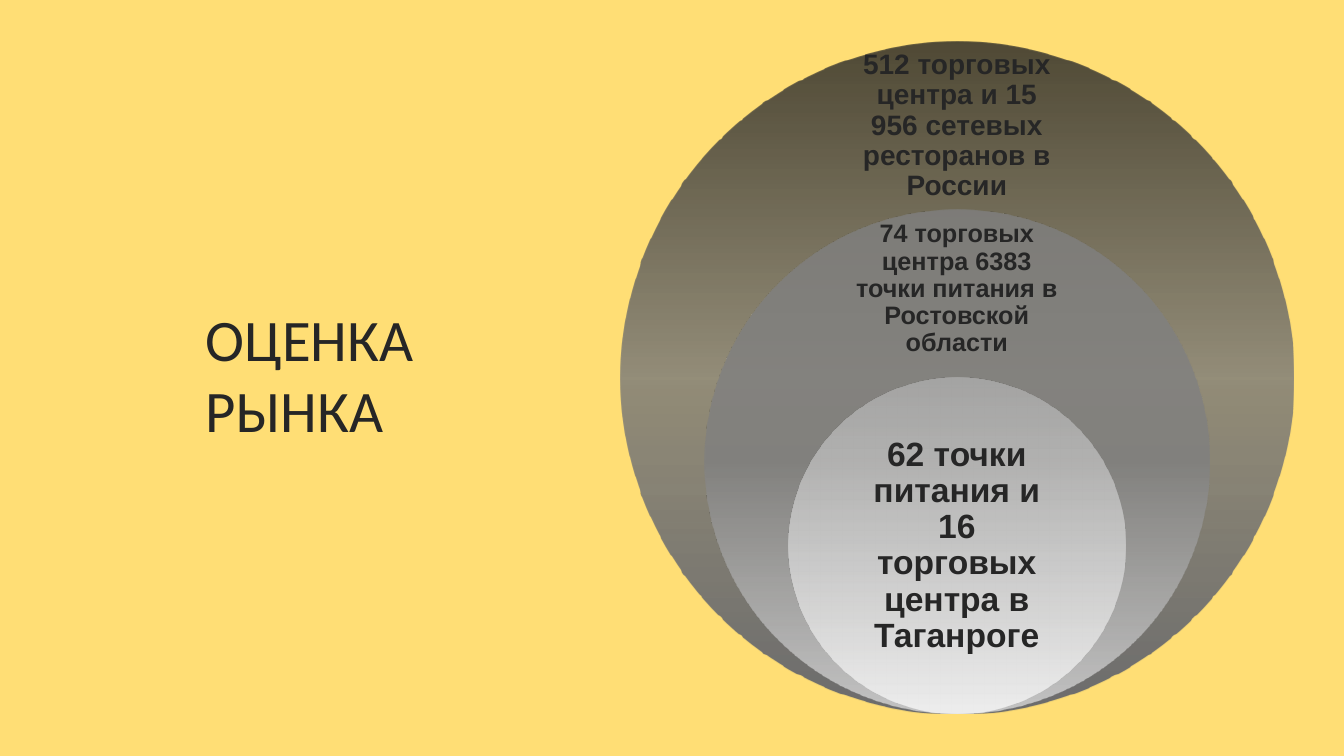
from lxml import etree
from pptx import Presentation
from pptx.dml.color import RGBColor
from pptx.enum.shapes import MSO_SHAPE
from pptx.enum.text import MSO_ANCHOR, PP_ALIGN
from pptx.oxml.ns import qn
from pptx.util import Inches, Pt

OVAL = MSO_SHAPE.OVAL
MIDDLE = MSO_ANCHOR.MIDDLE
LEFT, CENTER = PP_ALIGN.LEFT, PP_ALIGN.CENTER

COLORS = {
    "back": "FFDE75", "ink": "262626",
    "iron": "7A7A7A", "lead": "777777", "slate": "6C6C6C",
    "gray": "808080", "ash": "B2B2B2", "pale": "D9D9D9", "white": "FFFFFF",
}
TITLE = "ОЦЕНКА РЫНКА"
RINGS = [
    {"text": "512 торговых центра и 15 956 сетевых ресторанов в России",
     "size": 20, "inset": 0.16, "label": (0.75, 2.33, 1),
     "stops": [(0, "ink", 80), (50, "iron", 80), (52, "lead", 80), (100, "slate", 100)]},
    {"text": "74 торговых центра 6383 точки питания в Ростовской области",
     "size": 18, "inset": 0.14, "label": (2.4, 2.33, 0.94),
     "stops": [(0, "gray", 80), (50, "gray", 80), (100, "pale", 80)]},
    {"text": "62 точки питания и 16 торговых центра в Таганроге",
     "size": 24, "inset": 0.19, "label": (4.58, 2.36, 1.67),
     "stops": [(0, "ash", 70), (50, "pale", 70), (100, "white", 70)]},
]
MID, BASE, OUTER = 9.49, 7.08, 6.67


def color(name):
    return RGBColor.from_string(COLORS[name])


def add_text(slide, box, text, font, size, bold, align, side, top, lead):
    frame = slide.shapes.add_textbox(*map(Inches, box)).text_frame
    frame.word_wrap = True
    frame.vertical_anchor = MIDDLE
    frame.margin_left = frame.margin_right = Inches(side)
    frame.margin_top = frame.margin_bottom = Inches(top)
    para = frame.paragraphs[0]
    para.alignment = align
    para.line_spacing = lead
    run = para.add_run()
    run.text = text
    run.font.name = font
    run.font.size = Pt(size)
    run.font.bold = bold
    run.font.color.rgb = color("ink")


def add_ring(slide, width, stops):
    box = (MID - width / 2, BASE - width, width, width)
    ring = slide.shapes.add_shape(OVAL, *map(Inches, box))
    ring.shadow.inherit = False
    ring.line.fill.background()
    ring.fill.gradient()
    ring.fill.gradient_angle = 270
    group = ring.fill.gradient_stops and ring.element.spPr.find(".//" + qn("a:gsLst"))
    for old in list(group):
        group.remove(old)
    for place, name, alpha in stops:
        stop = etree.SubElement(group, qn("a:gs"), pos=str(place * 1000))
        tone = etree.SubElement(stop, qn("a:srgbClr"), val=COLORS[name])
        etree.SubElement(tone, qn("a:alpha"), val=str(alpha * 1000))


def main():
    deck = Presentation()
    deck.slide_width, deck.slide_height = Inches(13.33), Inches(7.5)
    slide = deck.slides.add_slide(deck.slide_layouts[6])
    slide.background.fill.solid()
    slide.background.fill.fore_color.rgb = color("back")

    add_text(slide, (1.94, 2, 3.92, 3.41), TITLE, "Calibri", 42, False, LEFT, 0.1, 0.05, 1.0)
    for index, ring in enumerate(RINGS):
        add_ring(slide, OUTER * (1 - index / 4), ring["stops"])
        top, width, height = ring["label"]
        inset = ring["inset"]
        add_text(slide, (MID - width / 2, top, width, height), ring["text"],
                 "Arial", ring["size"], True, CENTER, inset, inset, 0.9)
    deck.save("out.pptx")


if __name__ == "__main__":
    main()
